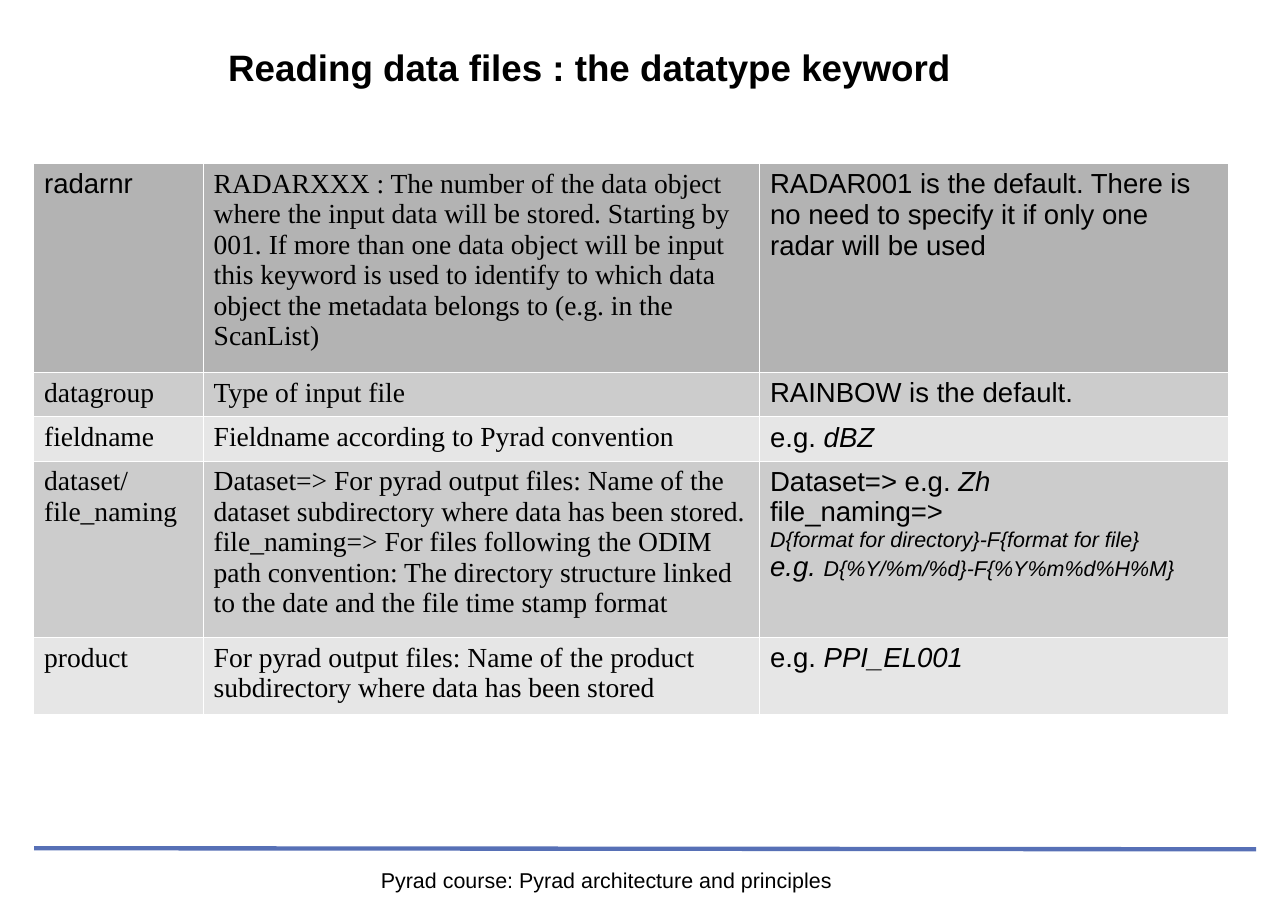
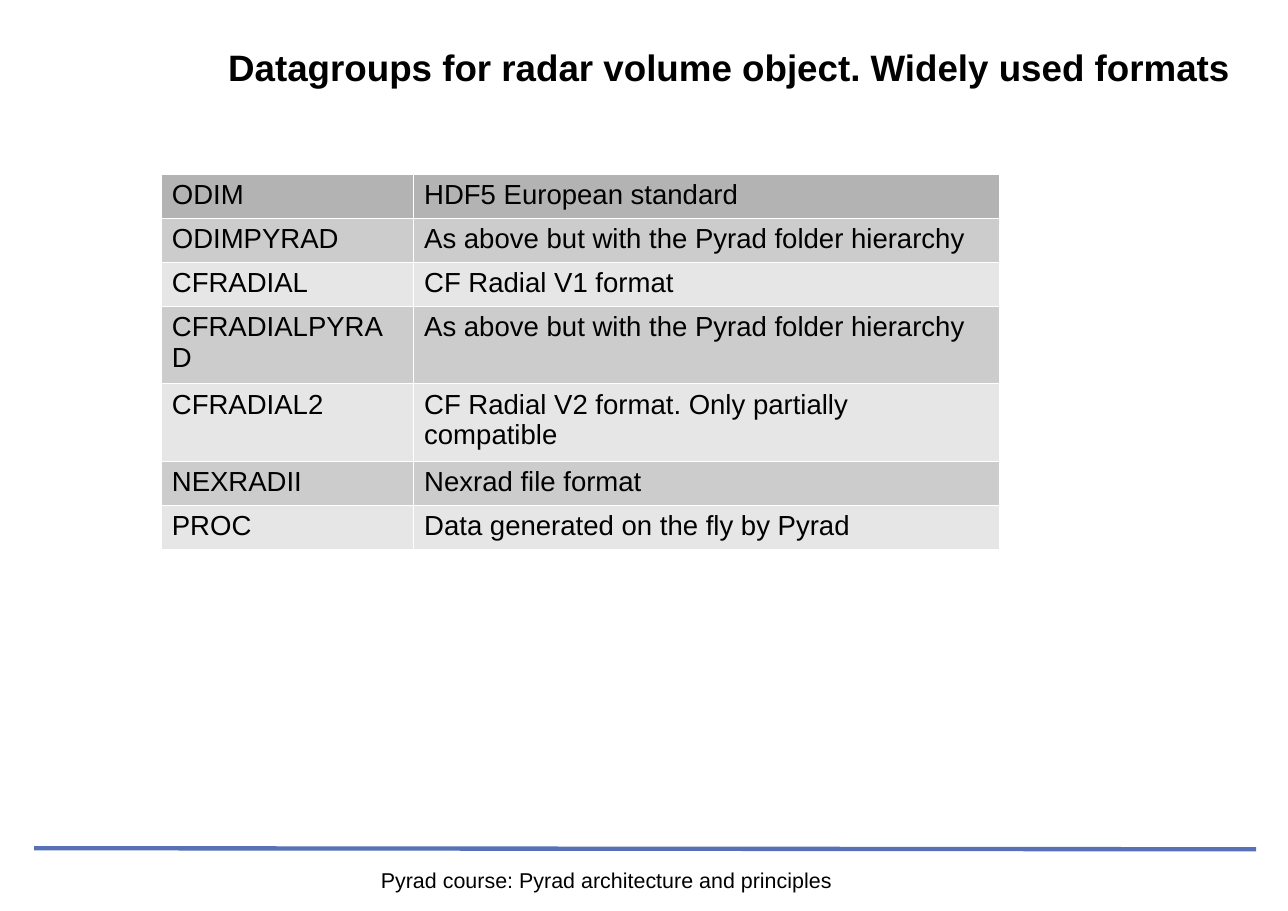
"""Build two table slides on reading radar data with Pyrad."""
import pptx
import pptx.dml.color
import pptx.enum.shapes
import pptx.enum.text
import pptx.oxml
import pptx.oxml.ns
import pptx.util

BLACK = pptx.dml.color.RGBColor(0x00, 0x00, 0x00)
WHITE = pptx.dml.color.RGBColor(0xFF, 0xFF, 0xFF)
BLUE = pptx.dml.color.RGBColor(0x57, 0x70, 0xB6)
HEAD = pptx.dml.color.RGBColor(0xB3, 0xB3, 0xB3)
BANDS = [
    pptx.dml.color.RGBColor(0xE6, 0xE6, 0xE6),
    pptx.dml.color.RGBColor(0xCC, 0xCC, 0xCC),
]

SANS = ("Arial", 18, False, False)
SERIF = ("Times New Roman", 18, False, False)
ITALIC = ("Arial", 18, False, True)
SMALL = ("Arial", 14, False, True)
TITLE = ("Arial", 24, True, False)
FOOTER = ("Arial", 14, False, False)

KEYWORDS = [
    [
        [[("radarnr", SANS)]],
        [[("RADARXXX : The number of the data object where the input data will be "
           "stored. Starting by 001. If more than one data object will be input this "
           "keyword is used to identify to which data object the metadata belongs to "
           "(e.g. in the ScanList)", SERIF)]],
        [[("RADAR001 is the default. There is no need to specify it if only one radar "
           "will be used", SANS)]],
    ],
    [
        [[("datagroup", SERIF)]],
        [[("Type of input file", SERIF)]],
        [[("RAINBOW is the default.", SANS)]],
    ],
    [
        [[("fieldname", SERIF)]],
        [[("Fieldname according to Pyrad convention", SERIF)]],
        [[("e.g. ", SANS), ("dBZ", ITALIC)]],
    ],
    [
        [[("dataset/file_naming", SERIF)]],
        [
            [("Dataset=> For pyrad output files: Name of the dataset subdirectory where "
              "data has been stored.", SERIF)],
            [("file_naming=> For files following the ODIM path convention: The directory "
              "structure linked to the date and the file time stamp format", SERIF)],
        ],
        [
            [("Dataset=> e.g. ", SANS), ("Zh", ITALIC)],
            [("file_naming=>", SANS)],
            [("D{format for directory}-F{format for file}", SMALL)],
            [("e.g. ", ITALIC), ("D{%Y/%m/%d}-F{%Y%m%d%H%M}", SMALL)],
        ],
    ],
    [
        [[("product", SERIF)]],
        [[("For pyrad output files: Name of the product subdirectory where data has "
           "been stored", SERIF)]],
        [[("e.g. ", SANS), ("PPI_EL001", ITALIC)]],
    ],
]

FORMATS = [
    ("ODIM", "HDF5 European standard"),
    ("ODIMPYRAD", "As above but with the Pyrad folder hierarchy"),
    ("CFRADIAL", "CF Radial V1 format"),
    ("CFRADIALPYRAD", "As above but with the Pyrad folder hierarchy"),
    ("CFRADIAL2", "CF Radial V2 format. Only partially compatible"),
    ("NEXRADII", "Nexrad file format"),
    ("PROC", "Data generated on the fly by Pyrad"),
]
FORMAT_ROWS = [[[[(text, SANS)]] for text in row] for row in FORMATS]

SLIDES = [
    ("Reading data files : the datatype keyword", KEYWORDS,
     (2.57, 17.9), [13.17, 43.2, 36.44], [6, 1, 1, 5, 2]),
    ("Datagroups for radar volume object. Widely used formats", FORMAT_ROWS,
     (12.49, 19.11), [19.59, 45.51], [1, 1, 1, 2, 2, 1, 1]),
]

prs = pptx.Presentation()
prs.slide_width = pptx.util.Inches(11.69)
prs.slide_height = pptx.util.Inches(8.27)


def place(*percents):
    """Turn alternating width and height percentages into lengths."""
    sides = (prs.slide_width, prs.slide_height)
    return [int(sides[i % 2] * pct / 100) for i, pct in enumerate(percents)]


def write(tf, paragraphs, align=pptx.enum.text.PP_ALIGN.LEFT):
    """Write paragraphs of styled runs into a text frame."""
    for i, runs in enumerate(paragraphs):
        p = tf.add_paragraph() if i else tf.paragraphs[0]
        p.alignment = align
        for text, (name, size, bold, italic) in runs:
            r = p.add_run()
            r.text = text
            r.font.name = name
            r.font.size = pptx.util.Pt(size)
            r.font.bold = bold
            r.font.italic = italic
            r.font.color.rgb = BLACK


layout = prs.slide_layouts[5]
layout_title = layout.placeholders[0]
(layout_title.left, layout_title.top,
 layout_title.width, layout_title.height) = place(17.71, 3.26, 79.04, 8.1)

for n, (title, rows, corner, widths, lines) in enumerate(SLIDES):
    s = prs.slides.add_slide(layout)
    if n == 0:
        rule = s.shapes.add_connector(
            pptx.enum.shapes.MSO_CONNECTOR.STRAIGHT, *place(2.65, 93.11, 97.52, 93.23))
        rule.line.color.rgb = BLUE
        rule.line.width = pptx.util.Pt(2.83)
        rule.element.spPr.append(pptx.oxml.parse_xml(
            f"<a:effectLst {pptx.oxml.ns.nsdecls('a')}/>"))
        layout.shapes.element.append(rule.element)

    sp = s.shapes.title
    sp.fill.solid()
    sp.fill.fore_color.rgb = WHITE
    footer = s.shapes.add_textbox(*place(12.75, 95.16, 68.69, 4.72))
    for tf in (sp.text_frame, footer.text_frame):
        tf.margin_left = tf.margin_right = tf.margin_top = tf.margin_bottom = 0
        tf.word_wrap = True
    sp.text_frame.vertical_anchor = pptx.enum.text.MSO_ANCHOR.MIDDLE
    sp.text_frame.auto_size = pptx.enum.text.MSO_AUTO_SIZE.SHAPE_TO_FIT_TEXT
    write(sp.text_frame, [[(title, TITLE)]])
    write(footer.text_frame, [[("Pyrad course: Pyrad architecture and principles", FOOTER)]],
          pptx.enum.text.PP_ALIGN.CENTER)

    heights = [pptx.util.Inches(0.1 + 0.3 * count) for count in lines]
    table = s.shapes.add_table(
        len(rows), len(widths), *place(*corner), place(sum(widths))[0], sum(heights)).table
    table.first_row = False
    table.horz_banding = False
    for col, width in zip(table.columns, widths):
        col.width = place(width)[0]
    for i, row in enumerate(rows):
        table.rows[i].height = heights[i]
        for j, paragraphs in enumerate(row):
            cell = table.cell(i, j)
            tcPr = cell._tc.get_or_add_tcPr()
            for side in "LRTB":
                tcPr.append(pptx.oxml.parse_xml(
                    f"<a:ln{side} {pptx.oxml.ns.nsdecls('a')} w='720'><a:solidFill>"
                    f"<a:srgbClr val='{WHITE}'/></a:solidFill></a:ln{side}>"))
            cell.fill.solid()
            cell.fill.fore_color.rgb = BANDS[i % 2] if i else HEAD
            write(cell.text_frame, paragraphs)

prs.save("out.pptx")
